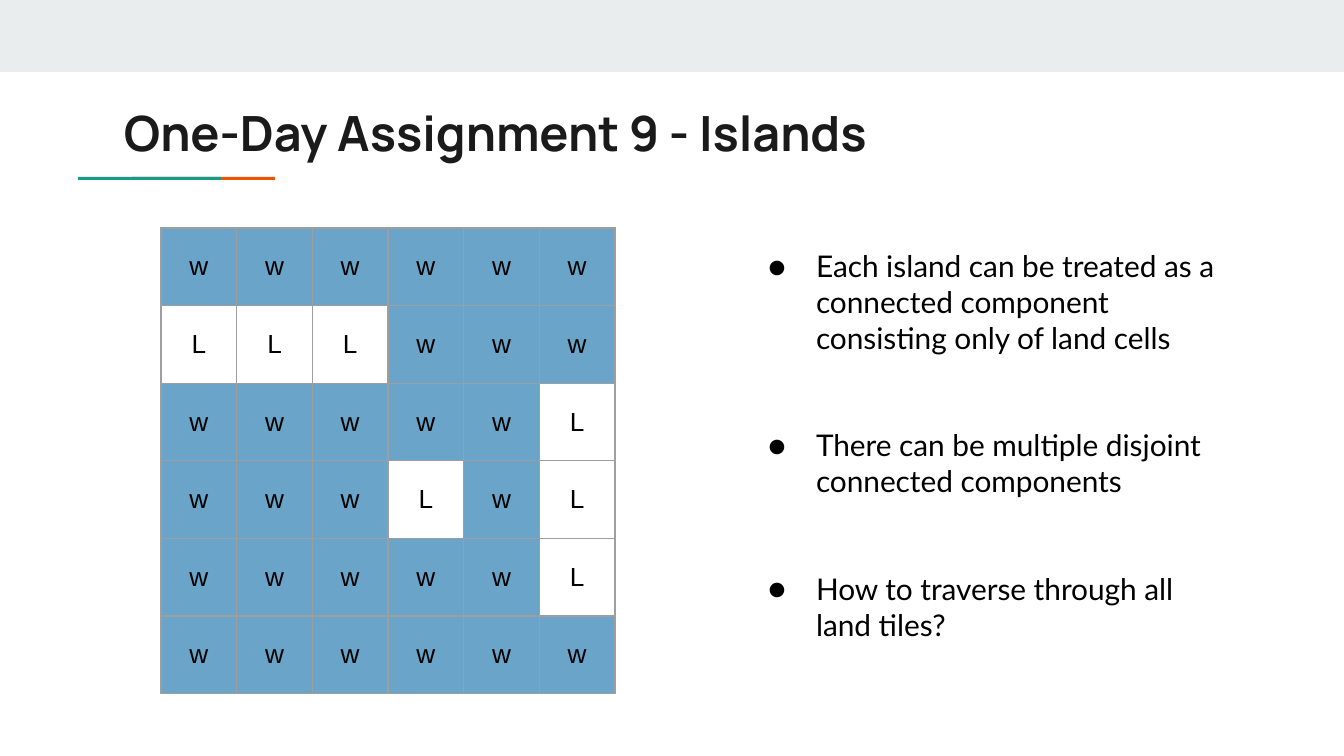
from lxml.etree import SubElement
from pptx import Presentation
from pptx.dml.color import RGBColor
from pptx.enum.shapes import MSO_SHAPE
from pptx.enum.text import MSO_ANCHOR, PP_ALIGN
from pptx.oxml.ns import qn
from pptx.util import Pt

SCALE = 914400 / 134.4
PAD = 13
GRID = ["wwwwww", "LLLwww", "wwwwwL", "wwwLwL", "wwwwwL", "wwwwww"]
NOTES = [
    "Each island can be treated as a connected component consisting only of land cells",
    "There can be multiple disjoint connected components",
    "How to traverse through all land tiles?",
]


def px(n):
    return round(n * SCALE)


def color(code):
    return RGBColor.from_string(code)


class Deck:
    ink, black = "1A1A1A", "000000"
    band, teal, orange = "E9EDEE", "1A9988", "EB5600"
    water, edge = "6AA4C8", "9E9E9E"
    head, body, mono = "Manrope", "Lato", "Arial"

    def __init__(self):
        self.prs = Presentation()
        self.prs.slide_width, self.prs.slide_height = px(1344), px(756)
        self.slide = self.prs.slides.add_slide(self.prs.slide_layouts[6])

    def rect(self, x, y, w, h, fill):
        box = self.slide.shapes.add_shape(
            MSO_SHAPE.RECTANGLE, px(x), px(y), px(w), px(h))
        box.shadow.inherit = False
        box.fill.solid()
        box.fill.fore_color.rgb = color(fill)
        box.line.fill.background()

    def run(self, para, text, font, size, ink, bold=False):
        run = para.add_run()
        run.text = text
        run.font.name, run.font.size, run.font.bold = font, Pt(size), bold
        run.font.color.rgb = color(ink)

    def inset(self, part):
        part.margin_left = part.margin_right = px(PAD)
        part.margin_top = part.margin_bottom = px(PAD)

    def text(self, x, y, w, h):
        frame = self.slide.shapes.add_textbox(
            px(x), px(y), px(w), px(h)).text_frame
        frame.word_wrap = True
        self.inset(frame)
        return frame

    def title(self, x, y, w, h, text):
        para = self.text(x, y, w, h).paragraphs[0]
        self.run(para, text, self.head, 26, self.ink, True)

    def list(self, x, y, w, h, items, gap):
        frame = self.text(x, y, w, h)
        for i, item in enumerate(items):
            para = frame.add_paragraph() if i else frame.paragraphs[0]
            para.space_before = Pt(gap if i else 0)
            self.run(para, item, self.body, 16, self.black)
            # Bullet with a hanging indent
            props = para._p.get_or_add_pPr()
            props.set("marL", str(px(67)))
            props.set("indent", str(px(-48)))
            tint = SubElement(props, qn("a:buClr"))
            SubElement(tint, qn("a:srgbClr"), val=self.black)
            SubElement(props, qn("a:buFont"), typeface=self.body)
            SubElement(props, qn("a:buChar"), char="●")

    def border(self, cell):
        props = cell._tc.get_or_add_tcPr()
        for side in ("lnL", "lnR", "lnT", "lnB"):
            line = SubElement(props, qn("a:" + side), w=str(Pt(0.75)))
            fill = SubElement(line, qn("a:solidFill"))
            SubElement(fill, qn("a:srgbClr"), val=self.edge)

    def table(self, x, y, w, h, grid):
        rows, cols = len(grid), len(grid[0])
        table = self.slide.shapes.add_table(
            rows, cols, px(x), px(y), px(w), px(h)).table
        table.first_row = table.horz_banding = False
        for r, row in enumerate(grid):
            for c, mark in enumerate(row):
                cell = table.cell(r, c)
                self.border(cell)
                self.inset(cell)
                cell.vertical_anchor = MSO_ANCHOR.MIDDLE
                if mark == "w":
                    cell.fill.solid()
                    cell.fill.fore_color.rgb = color(self.water)
                else:
                    cell.fill.background()
                para = cell.text_frame.paragraphs[0]
                para.alignment = PP_ALIGN.CENTER
                self.run(para, mark, self.mono, 14, self.black)


def main():
    deck = Deck()
    # Top band and two-tone rule, teal over orange
    deck.rect(0, 0, 1344, 72, deck.band)
    deck.rect(132, 177, 143, 3, deck.orange)
    deck.rect(78, 177, 143, 3, deck.teal)
    # Title
    deck.title(111, 90, 1130, 79, "One-Day Assignment 9 - Islands")
    # Map of water and land
    deck.table(161, 228, 454, 466, GRID)
    # Notes, two lines apart
    deck.list(736, 235, 497, 437, NOTES, 38.4)
    deck.prs.save("out.pptx")


if __name__ == "__main__":
    main()
